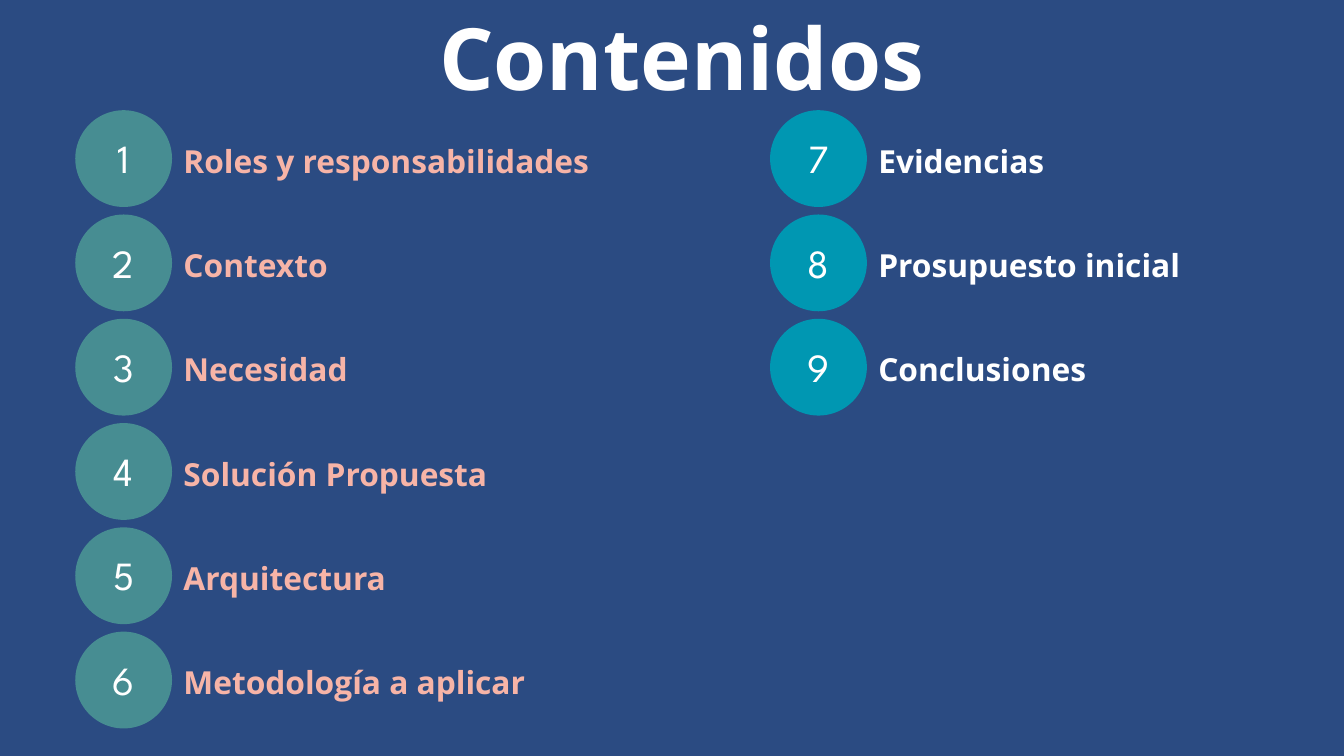
from pptx import Presentation
from pptx.dml.color import RGBColor
from pptx.enum.shapes import MSO_SHAPE
from pptx.enum.text import MSO_ANCHOR, MSO_AUTO_SIZE, PP_ALIGN
from pptx.util import Inches, Pt

OVAL = MSO_SHAPE.OVAL
TOP, MIDDLE = MSO_ANCHOR.TOP, MSO_ANCHOR.MIDDLE
LEFT, CENTER = PP_ALIGN.LEFT, PP_ALIGN.CENTER
NO_AUTOFIT = MSO_AUTO_SIZE.NONE

TITLE_LAYOUT = 5
NAVY, TEAL, CYAN, SALMON, WHITE = "2B4B82", "478D92", "0097B2", "F7B4A7", "FFFFFF"
HEADING_FONT, NUMBER_FONT = "Open Sans", "League Spartan"

FIRST_TOPICS = [
    "Roles y responsabilidades",
    "Contexto",
    "Necesidad",
    "Solución Propuesta",
    "Arquitectura",
    "Metodología a aplicar",
]
LAST_TOPICS = ["Evidencias", "Prosupuesto inicial", "Conclusiones"]

CIRCLE_SIZE = 1.44
ROW_STEP = 1.552
LABEL_OFFSET_X, LABEL_OFFSET_Y = 1.61, 0.37


def paint(fill, color):
    fill.solid()
    fill.fore_color.rgb = RGBColor.from_string(color)


def write_text(shape, text, font, size, color, line_height, align, anchor=TOP, bold=False, bottom=0):
    frame = shape.text_frame
    frame.word_wrap = True
    frame.auto_size = NO_AUTOFIT
    frame.vertical_anchor = anchor
    frame.margin_left = frame.margin_right = frame.margin_top = 0
    frame.margin_bottom = Inches(bottom)
    paragraph = frame.paragraphs[0]
    paragraph.alignment = align
    paragraph.line_spacing = Pt(line_height)
    paragraph.space_before = Pt(0)
    run = paragraph.add_run()
    run.text = text
    run.font.name = font
    run.font.size = Pt(size)
    run.font.bold = bold
    run.font.color.rgb = RGBColor.from_string(color)


def add_title(slide, text, left, top, width, height):
    title = slide.shapes.title
    title.left, title.top = Inches(left), Inches(top)
    title.width, title.height = Inches(width), Inches(height)
    write_text(title, text, HEADING_FONT, 92, WHITE, 128.8, CENTER, bold=True)


def add_topic(slide, number, topic, left, top, width, circle_color, text_color):
    # Numbered circle
    circle = slide.shapes.add_shape(
        OVAL, Inches(left), Inches(top), Inches(CIRCLE_SIZE), Inches(CIRCLE_SIZE))
    circle.shadow.inherit = False
    circle.line.fill.background()
    paint(circle.fill, circle_color)
    write_text(circle, str(number), NUMBER_FONT, 42.8, WHITE, 59.9, CENTER, MIDDLE, bottom=0.14)

    # Topic name
    label = slide.shapes.add_textbox(
        Inches(left + LABEL_OFFSET_X), Inches(top + LABEL_OFFSET_Y),
        Inches(width - LABEL_OFFSET_X), Inches(0.63))
    write_text(label, topic, HEADING_FONT, 34, text_color, 47.6, LEFT, bold=True)


def add_topic_column(slide, topics, first_number, left, top, width, circle_color, text_color):
    for row, topic in enumerate(topics):
        add_topic(slide, first_number + row, topic, left, top + row * ROW_STEP, width,
                  circle_color, text_color)


def main():
    presentation = Presentation()
    presentation.slide_width, presentation.slide_height = Inches(20), Inches(11.25)
    slide = presentation.slides.add_slide(presentation.slide_layouts[TITLE_LAYOUT])
    paint(slide.background.fill, NAVY)

    add_title(slide, "Contenidos", 6.21, -0.19, 7.87, 1.71)
    add_topic_column(slide, FIRST_TOPICS, 1, 1.12, 1.64, 7.8, TEAL, SALMON)
    add_topic_column(slide, LAST_TOPICS, len(FIRST_TOPICS) + 1, 11.46, 1.64, 7.8, CYAN, WHITE)

    presentation.save("out.pptx")


if __name__ == "__main__":
    main()
